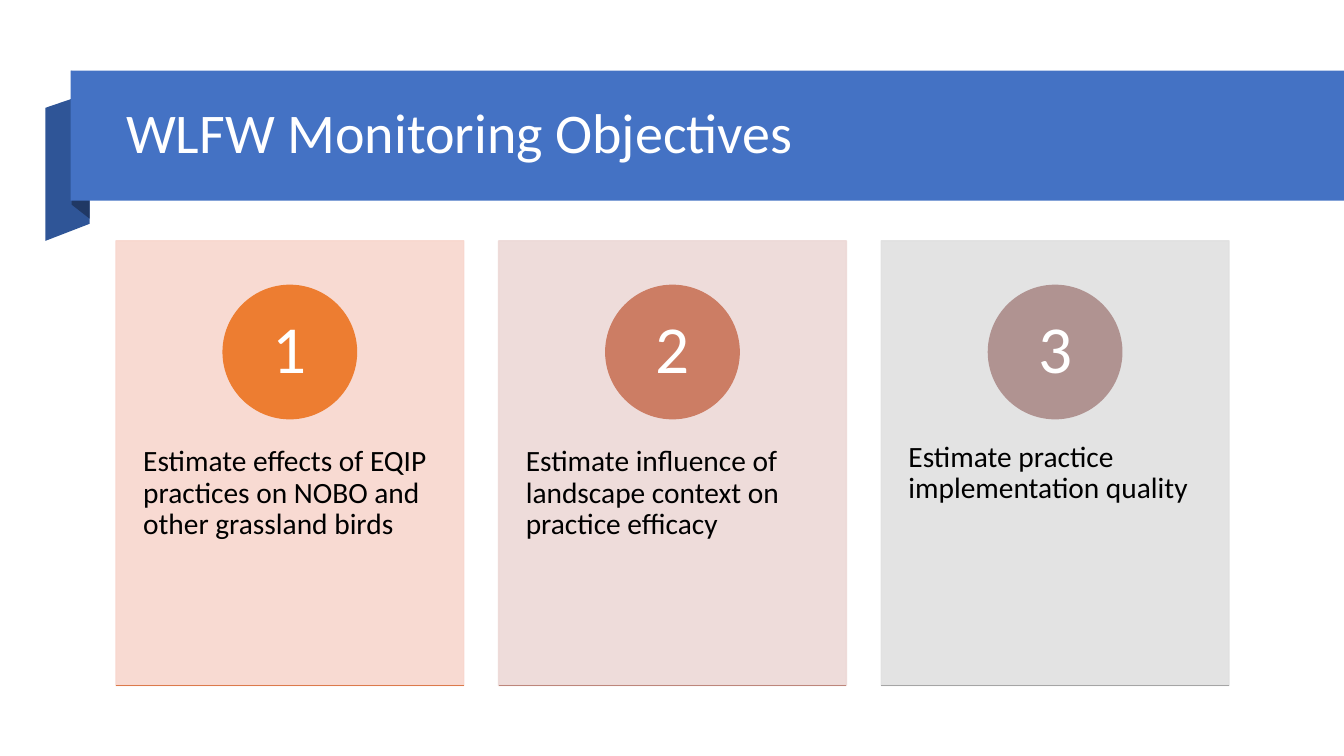
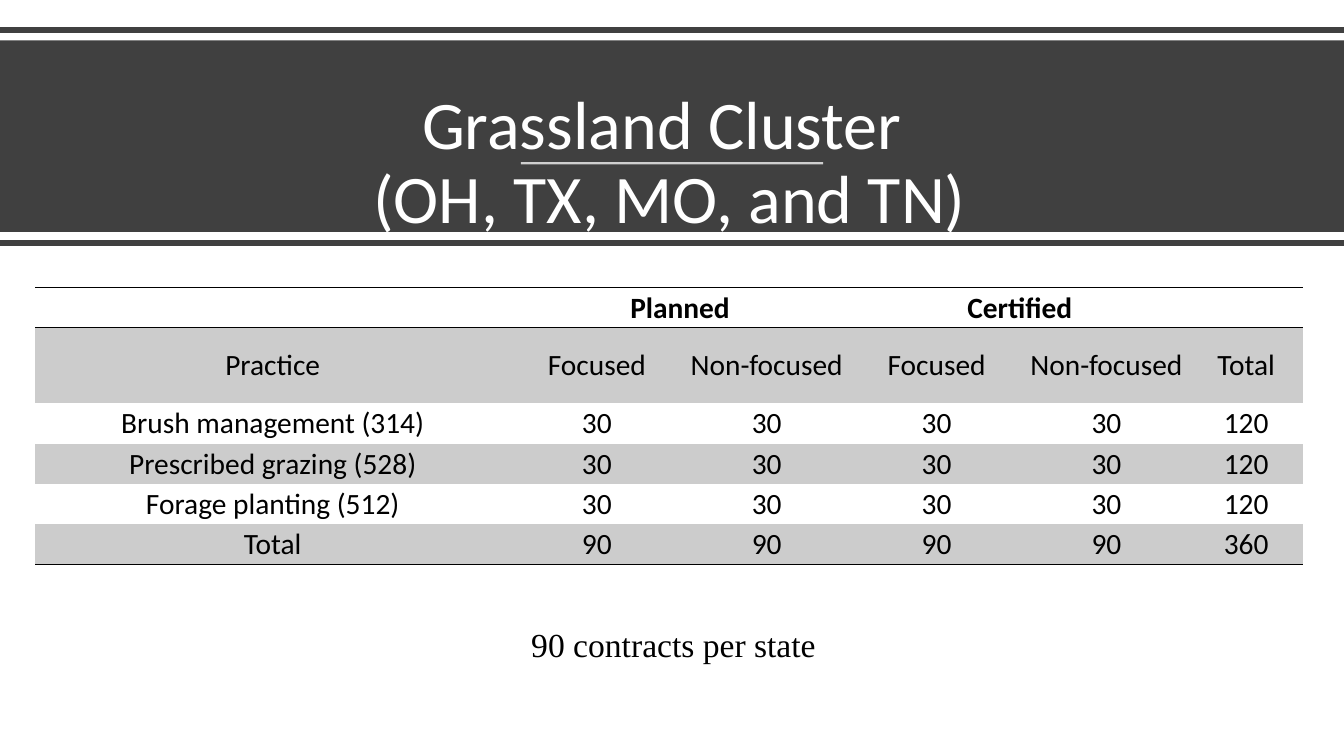
from dataclasses import dataclass

from lxml import etree
from pptx import Presentation
from pptx.dml.color import RGBColor as RGB
from pptx.enum.shapes import MSO_CONNECTOR as LINE, MSO_SHAPE as SHAPE
from pptx.enum.text import MSO_ANCHOR as ANCHOR, MSO_AUTO_SIZE as AUTO, PP_ALIGN as ALIGN
from pptx.oxml.ns import qn
from pptx.shapes.connector import Connector
from pptx.util import Inches, Pt


@dataclass(frozen=True)
class Theme:
    font: str = "Calibri"
    note_font: str = "Times New Roman"
    black: str = "000000"
    white: str = "FFFFFF"
    blue: str = "4472C4"
    fold: str = "2F5597"
    fold_shade: str = "203864"
    charcoal: str = "404040"
    stripe: str = "CCCCCC"
    title: float = 40
    big_title: float = 48.6
    number: float = 48
    body: float = 21
    note: float = 24


T = Theme()
W, H = 13.33, 7.5
NO_TABLE_STYLE = "{2D5ABB26-0587-4C30-8999-92F81FD0307C}"


def paint(sp, color, width=0, alpha=100):
    """Give a shape or line one flat colour, an outline in points and no shadow."""
    if not isinstance(sp, Connector):
        sp.fill.solid()
        sp.fill.fore_color.rgb = RGB.from_string(color)
    if width:
        sp.line.color.rgb = RGB.from_string(color)
        sp.line.width = Pt(width)
    else:
        sp.line.fill.background()
    props = sp.element.spPr
    if alpha < 100:
        for c in props.iter(qn("a:srgbClr")):
            etree.SubElement(c, qn("a:alpha"), val=str(alpha * 1000))
    etree.SubElement(props, qn("a:effectLst"))


def write(tf, text, size, color=T.black, align=ALIGN.LEFT, font=T.font, spacing=0.9):
    tf.word_wrap = True
    p = tf.paragraphs[0]
    p.text = text
    p.alignment = align
    p.line_spacing = spacing
    p.font.name = font
    p.font.size = Pt(size)
    p.font.color.rgb = RGB.from_string(color)
    return p


prs = Presentation()
prs.slide_width, prs.slide_height = Inches(W), Inches(H)
title_only = prs.slide_layouts[5]

# Title bands
folds = [
    (T.fold, [(0.89, 2.22), (0.45, 2.39), (0.45, 1.07), (0.89, 0.92)]),
    (T.fold_shade, [(0.89, 2.17), (0.71, 2.03), (0.71, 0.7), (0.89, 0.85)]),
]
headings = [
    ("WLFW Monitoring Objectives", T.title, ALIGN.LEFT, ANCHOR.MIDDLE,
     (1.15, 0.86, 11.27, 0.96), T.blue, (0.7, 0.7, W - 0.7, 1.29), folds),
    ("Grassland Cluster \v(OH, TX, MO, and TN)", T.big_title, ALIGN.CENTER, ANCHOR.BOTTOM,
     (0.55, 1.39, 12.18, 1.02), T.charcoal, (0, 0.4, W, 1.9), []),
]
for text, size, align, anchor, place, color, band, ribbon in headings:
    s = prs.slides.add_slide(title_only)
    for shade, points in ribbon:
        (x, y), *rest = [(Inches(a), Inches(b)) for a, b in points]
        outline = s.shapes.build_freeform(x, y)
        outline.add_line_segments(rest, close=True)
        paint(outline.convert_to_shape(), shade)
    paint(s.shapes.add_shape(SHAPE.RECTANGLE, *map(Inches, band)), color)

    title = s.shapes.title
    title.left, title.top, title.width, title.height = map(Inches, place)
    title.text_frame.auto_size = AUTO.NONE
    title.text_frame.vertical_anchor = anchor
    write(title.text_frame, text, size, T.white, align)
    s.shapes.element.append(title.element)  # bring in front of the band

objectives, cluster = prs.slides

# Objective cards: equal columns with gaps of a tenth of a card
LEFT, TOP, CARD_W, CARD_H = 1.15, 2.39, 3.45, 4.41
DISC = 0.3 * CARD_H
cards = [
    ("Estimate effects of EQIP practices on NOBO and other grassland birds",
     "F8D7CE", "ED7D31", "DC7A4B"),
    ("Estimate influence of landscape context on practice efficacy",
     "EDD9D7", "CC7D64", "BD867B"),
    ("Estimate practice implementation quality", "E1E1E1", "B09391", "A5A5A5"),
]
shapes = objectives.shapes
for i, (text, tint, accent, rule) in enumerate(cards):
    x = LEFT + i * 1.1 * CARD_W
    card = shapes.add_shape(SHAPE.RECTANGLE, *map(Inches, (x, TOP, CARD_W, CARD_H)))
    paint(card, tint, 1, alpha=90)

    place = (x, TOP + 0.38 * CARD_H, CARD_W, 0.6 * CARD_H)
    tf = shapes.add_textbox(*map(Inches, place)).text_frame
    tf.margin_left = tf.margin_right = Inches(0.27)
    tf.margin_top = tf.margin_bottom = Inches(0.36)
    write(tf, text, T.body)

    place = (x + (CARD_W - DISC) / 2, TOP + 0.1 * CARD_H, DISC, DISC)
    disc = shapes.add_shape(SHAPE.OVAL, *map(Inches, place))
    paint(disc, accent, 1)
    tf = disc.text_frame
    tf.margin_top = tf.margin_bottom = Inches(0.01)
    tf.vertical_anchor = ANCHOR.MIDDLE
    write(tf, str(i + 1), T.number, T.white, ALIGN.CENTER)

    bottom = TOP + CARD_H
    ends = (x, bottom, x + CARD_W, bottom)
    paint(shapes.add_connector(LINE.STRAIGHT, *map(Inches, ends)), rule, 1)

# Lines around and inside the cluster title
shapes = cluster.shapes
for y, length, color, width, alpha in [
    (0.3, W, T.charcoal, 4, 100),
    (1.62, 3, T.white, 1.5, 75),
    (2.41, W, T.charcoal, 4, 100),
]:
    ends = ((W - length) / 2, y, (W + length) / 2, y)
    paint(shapes.add_connector(LINE.STRAIGHT, *map(Inches, ends)), color, width, alpha)

# Contract table
columns = [4.71, 1.72, 1.65, 1.72, 1.65, 1.12]
heights = [0.4, 0.75, 0.4, 0.4, 0.4, 0.4]
rows = [
    ["", "Planned", "", "Certified", "", ""],
    ["Practice", "Focused", "Non-focused", "Focused", "Non-focused", "Total"],
    ["Brush management (314)", "30", "30", "30", "30", "120"],
    ["Prescribed grazing (528)", "30", "30", "30", "30", "120"],
    ["Forage planting (512)", "30", "30", "30", "30", "120"],
    ["Total", "90", "90", "90", "90", "360"],
]
borders = {0: ["a:lnT", "a:lnB"], len(rows) - 1: ["a:lnB"]}
place = (0.35, 2.85, sum(columns), sum(heights))
frame = shapes.add_table(len(rows), len(columns), *map(Inches, place))
table = frame.table
table.first_row = table.horz_banding = False
next(frame.element.iter(qn("a:tableStyleId"))).text = NO_TABLE_STYLE
for column, width in zip(table.columns, columns):
    column.width = Inches(width)
for r, (row, height) in enumerate(zip(rows, heights)):
    table.rows[r].height = Inches(height)
    for c, text in enumerate(row):
        cell = table.cell(r, c)
        cell.margin_left = cell.margin_right = cell.margin_top = Inches(0.01)
        cell.margin_bottom = 0
        cell.vertical_anchor = ANCHOR.MIDDLE
        p = write(cell.text_frame, text, T.body, align=ALIGN.CENTER, spacing=1.0)
        p.font.bold = r == 0
        for edge in borders.get(r, []):
            ln = etree.SubElement(cell._tc.get_or_add_tcPr(), qn(edge), w=str(Pt(1)))
            fill = etree.SubElement(ln, qn("a:solidFill"))
            etree.SubElement(fill, qn("a:srgbClr"), val=T.black)
        if r % 2:
            cell.fill.solid()
            cell.fill.fore_color.rgb = RGB.from_string(T.stripe)
        else:
            cell.fill.background()
for c in (1, 3):
    table.cell(0, c).merge(table.cell(0, c + 1))

tf = shapes.add_textbox(*map(Inches, (5.17, 6.14, 3.05, 0.5))).text_frame
write(tf, "90 contracts per state", T.note, font=T.note_font, spacing=1.0)
tf.word_wrap = False
tf.auto_size = AUTO.SHAPE_TO_FIT_TEXT

prs.save("out.pptx")
